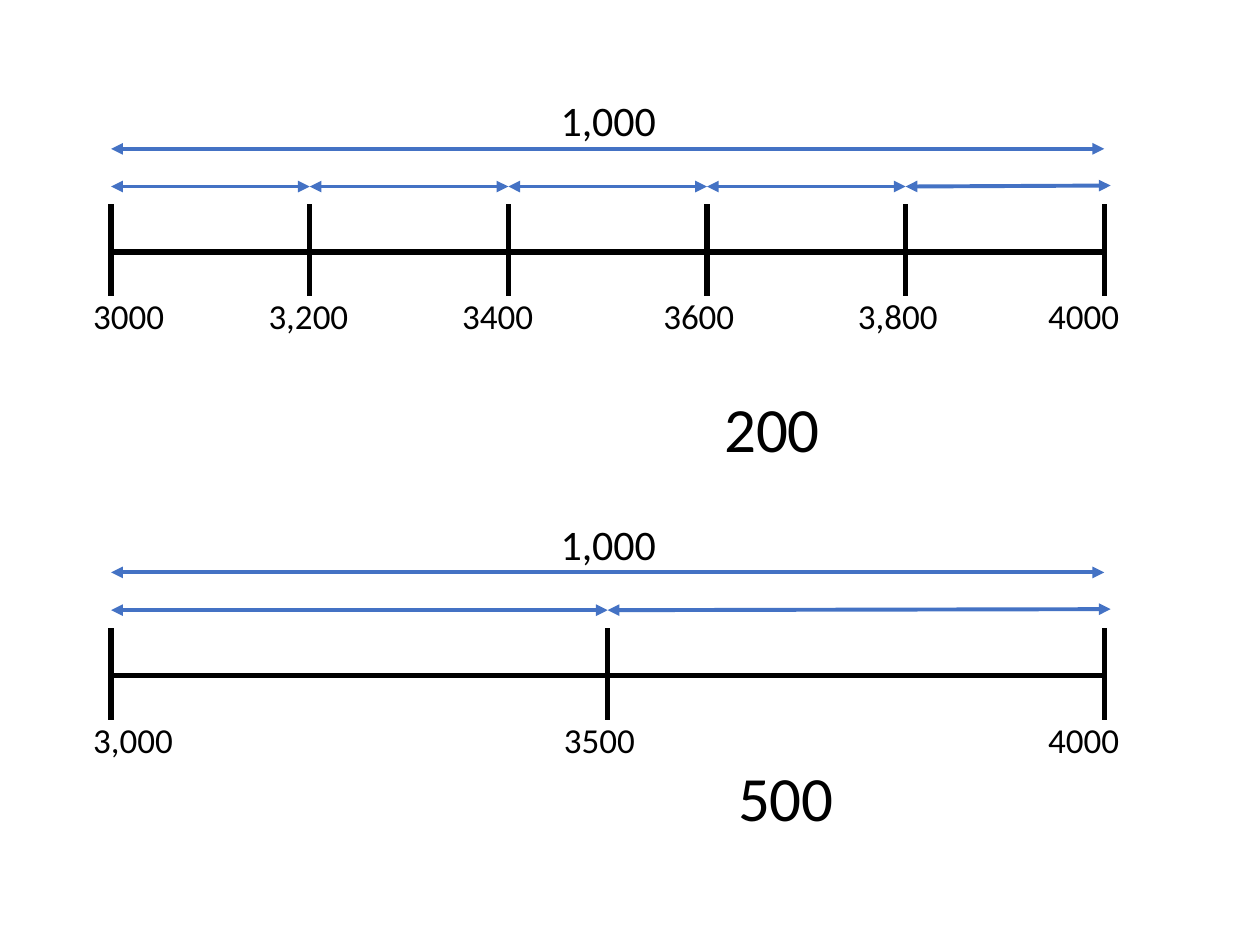
from lxml.etree import SubElement
from pptx import Presentation
from pptx.dml.color import RGBColor
from pptx.enum.shapes import MSO_CONNECTOR as Connector
from pptx.enum.text import MSO_AUTO_SIZE as AutoSize
from pptx.oxml.ns import qn
from pptx.util import Cm, Pt

BLACK, BLUE = "000000", "4472C4"
FONT = "Calibri"
LINE_LEFT, LINE_WIDTH = 2.24, 20.02


def color(hex_code):
    return RGBColor.from_string(hex_code)


def add_line(shapes, x1, y1, x2, y2, stroke=BLACK, weight=3):
    line = shapes.add_connector(Connector.STRAIGHT, Cm(x1), Cm(y1), Cm(x2), Cm(y2))
    line.line.color.rgb = color(stroke)
    line.line.width = Pt(weight)
    SubElement(line._element.spPr, qn("a:effectLst"))
    return line


def add_span(shapes, x1, y1, x2, y2):
    """Draw a blue line with an arrowhead at both ends."""
    span = add_line(shapes, x1, y1, x2, y2, BLUE, 2.25)
    outline = span.line._get_or_add_ln()
    for end in ("a:headEnd", "a:tailEnd"):
        SubElement(outline, qn(end), type="triangle")


def add_label(shapes, text, x, y, width, height, size):
    frame = shapes.add_textbox(Cm(x), Cm(y), Cm(width), Cm(height)).text_frame
    frame.word_wrap = True
    frame.auto_size = AutoSize.SHAPE_TO_FIT_TEXT
    run = frame.paragraphs[0].add_run()
    run.text = text
    run.font.name = FONT
    run.font.size = Pt(size)
    run.font.color.rgb = color(BLACK)


def add_number_line(slide, left, top, width, total, marks, answer):
    """Place a number line; top is the height of the arrow over its whole length.

    marks holds (text, shift of the label from its tick),
    answer holds (text, x offset, y offset).
    """
    shapes = slide.shapes
    step = width / (len(marks) - 1)
    ticks = [left + i * step for i in range(len(marks))]
    right = left + width

    scale = slide.shapes.add_group_shape().shapes
    add_line(scale, left, top + 2.08, right, top + 2.08)
    for tick, (text, shift) in zip(ticks, marks):
        add_line(scale, tick, top + 1.12, tick, top + 2.97)
        add_label(shapes, text, tick + shift, top + 2.82, 2.26, 1.11, 20)

    add_span(shapes, left, top, right, top)
    add_label(shapes, total, left + 8.81, top - 1.22, 2.59, 1.28, 24)

    part_y = top + 0.76
    for start, end in zip(ticks[:-2], ticks[1:-1]):
        add_span(shapes, start, part_y, end, part_y)
    add_span(shapes, ticks[-2], part_y, right + 0.13, part_y - 0.02)

    text, dx, dy = answer
    add_label(shapes, text, left + dx, top + dy, 2.64, 1.8, 36)


def main():
    prs = Presentation()
    prs.slide_width, prs.slide_height = Cm(25.4), Cm(19.05)
    slide = prs.slides.add_slide(prs.slide_layouts[6])

    fifths = [("3000", -0.61), ("3,200", -1.08), ("3400", -1.18),
              ("3600", -1.13), ("3,800", -1.21), ("4000", -1.38)]
    halves = [("3,000", -0.61), ("3500", -1.13), ("4000", -1.38)]
    add_number_line(slide, LINE_LEFT, 3, LINE_WIDTH, "1,000", fifths,
                    ("200", 12.11, 4.72))
    add_number_line(slide, LINE_LEFT, 11.54, LINE_WIDTH, "1,000", halves,
                    ("500", 12.39, 3.62))
    prs.save("out.pptx")


if __name__ == "__main__":
    main()
